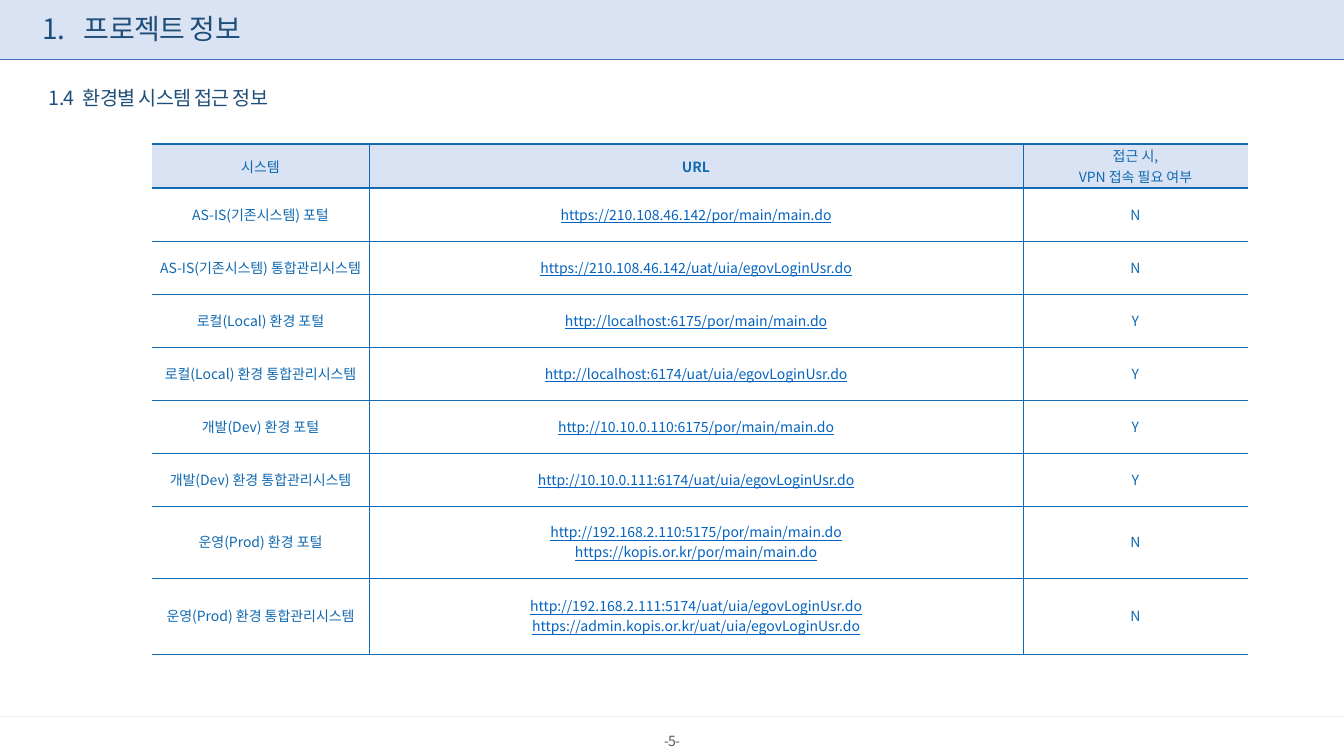
from lxml import etree
from pptx import Presentation, util as u
from pptx.dml.color import RGBColor
from pptx.enum import shapes, text
from pptx.oxml.ns import qn

PX = 12192000 / 1344
THEME = {
    "font": "Noto Sans CJK KR",
    "band": "DAE3F3", "rule": "4472C4", "footer_rule": "EBF2F9",
    "heading": "1F4E79", "table": "1069B1", "link": "0563C1", "page": "595959",
    "title_size": 20, "subtitle_size": 14, "body_size": 10,
    "thin": 0.25, "line": 0.5, "thick": 1.5,
}


def px(length):
    return u.Emu(round(length * PX))


def style(paragraph, size, color, spacing=0):
    """Set the paragraph font for Latin and Korean, with spacing in 1/100 pt."""
    font = paragraph.font
    font.size = u.Pt(size)
    font.name = THEME["font"]
    font.color.rgb = RGBColor.from_string(color)
    properties = paragraph._p.pPr.find(qn("a:defRPr"))
    properties.set("spc", str(spacing))
    etree.SubElement(properties, qn("a:ea"), typeface=THEME["font"])


presentation = Presentation()
presentation.slide_width, presentation.slide_height = px(1344), px(756)
slide = presentation.slides.add_slide(presentation.slide_layouts[6])

# Header band and rules
band = slide.shapes.add_shape(shapes.MSO_SHAPE.RECTANGLE, 0, 0, px(1344), px(59))
band.shadow.inherit = False
band.fill.solid()
band.fill.fore_color.rgb = RGBColor.from_string(THEME["band"])
band.line.fill.background()

for y, color in ((716, THEME["footer_rule"]), (59, THEME["rule"])):
    rule = slide.shapes.add_connector(
        shapes.MSO_CONNECTOR.STRAIGHT, 0, px(y), px(1344), px(y))
    rule.line.color.rgb = RGBColor.from_string(color)
    rule.line.width = u.Pt(THEME["line"])
    etree.SubElement(rule._element.spPr, qn("a:effectLst"))

# Headings and page number; a tab stop separates each number from its heading
LEFT, CENTER = text.PP_ALIGN.LEFT, text.PP_ALIGN.CENTER
labels = (
    ("1.\t프로젝트 정보", (33, 9, 406, 43), "title_size", "heading", LEFT, 41),
    ("1.4\t환경별 시스템 접근 정보", (39, 85, 452, 28), "subtitle_size", "heading", LEFT, 34),
    ("-5-", (629, 730, 86, 24), "body_size", "page", CENTER, None),
)
for wording, box, size, color, alignment, tab in labels:
    label = slide.shapes.add_textbox(*map(px, box))
    frame = label.text_frame
    frame.word_wrap = True
    frame.vertical_anchor = text.MSO_ANCHOR.MIDDLE
    paragraph = frame.paragraphs[0]
    paragraph.text = wording
    paragraph.alignment = alignment
    paragraph.line_spacing = 0.9
    if tab:
        tabs = etree.SubElement(paragraph._p.get_or_add_pPr(), qn("a:tabLst"))
        etree.SubElement(tabs, qn("a:tab"), pos=str(px(tab)), algn="l")
    style(paragraph, THEME[size], THEME[color], -50)

# Access table
columns = (217, 654, 225)
heights = (44, *[53] * 6, 72, 76)
rows = (
    ("시스템", "URL", "접근 시,\nVPN 접속 필요 여부"),
    ("AS-IS(기존시스템) 포털", "https://210.108.46.142/por/main/main.do", "N"),
    ("AS-IS(기존시스템) 통합관리시스템", "https://210.108.46.142/uat/uia/egovLoginUsr.do", "N"),
    ("로컬(Local) 환경 포털", "http://localhost:6175/por/main/main.do", "Y"),
    ("로컬(Local) 환경 통합관리시스템", "http://localhost:6174/uat/uia/egovLoginUsr.do", "Y"),
    ("개발(Dev) 환경 포털", "http://10.10.0.110:6175/por/main/main.do", "Y"),
    ("개발(Dev) 환경 통합관리시스템", "http://10.10.0.111:6174/uat/uia/egovLoginUsr.do", "Y"),
    ("운영(Prod) 환경 포털",
     "http://192.168.2.110:5175/por/main/main.do\nhttps://kopis.or.kr/por/main/main.do", "N"),
    ("운영(Prod) 환경 통합관리시스템",
     "http://192.168.2.111:5174/uat/uia/egovLoginUsr.do\n"
     "https://admin.kopis.or.kr/uat/uia/egovLoginUsr.do", "N"),
)
table = slide.shapes.add_table(
    len(rows), len(columns), px(152), px(144), px(sum(columns)), px(sum(heights))).table
table.first_row = table.horz_banding = False
for column, width in zip(table.columns, columns):
    column.width = px(width)

for r, (row, height) in enumerate(zip(rows, heights)):
    table.rows[r].height = px(height)
    for c, wording in enumerate(row):
        cell = table.cell(r, c)
        cell.margin_left = cell.margin_right = cell.margin_top = cell.margin_bottom = px(1)
        cell.vertical_anchor = text.MSO_ANCHOR.MIDDLE
        cell.text = wording
        is_link = r > 0 and c == 1
        for paragraph in cell.text_frame.paragraphs:
            paragraph.alignment = CENTER
            style(paragraph, THEME["body_size"], THEME["link" if is_link else "table"])
            paragraph.font.underline = is_link
            paragraph.font.bold = r == 0 and c == 1

        borders = {
            "lnL": THEME["thin"] if c > 0 else None,
            "lnR": THEME["thin"] if c < len(columns) - 1 else None,
            "lnT": THEME["thick" if r < 2 else "thin"],
            "lnB": THEME["thick" if r == 0 else "thin"],
        }
        for side, width in borders.items():
            border = etree.SubElement(cell._tc.get_or_add_tcPr(), qn(f"a:{side}"))
            if width is None:
                etree.SubElement(border, qn("a:noFill"))
            else:
                border.set("w", str(u.Pt(width)))
                fill = etree.SubElement(border, qn("a:solidFill"))
                etree.SubElement(fill, qn("a:srgbClr"), val=THEME["table"])
        if r == 0:
            cell.fill.solid()
            cell.fill.fore_color.rgb = RGBColor.from_string(THEME["band"])
        else:
            cell.fill.background()

presentation.save("out.pptx")
